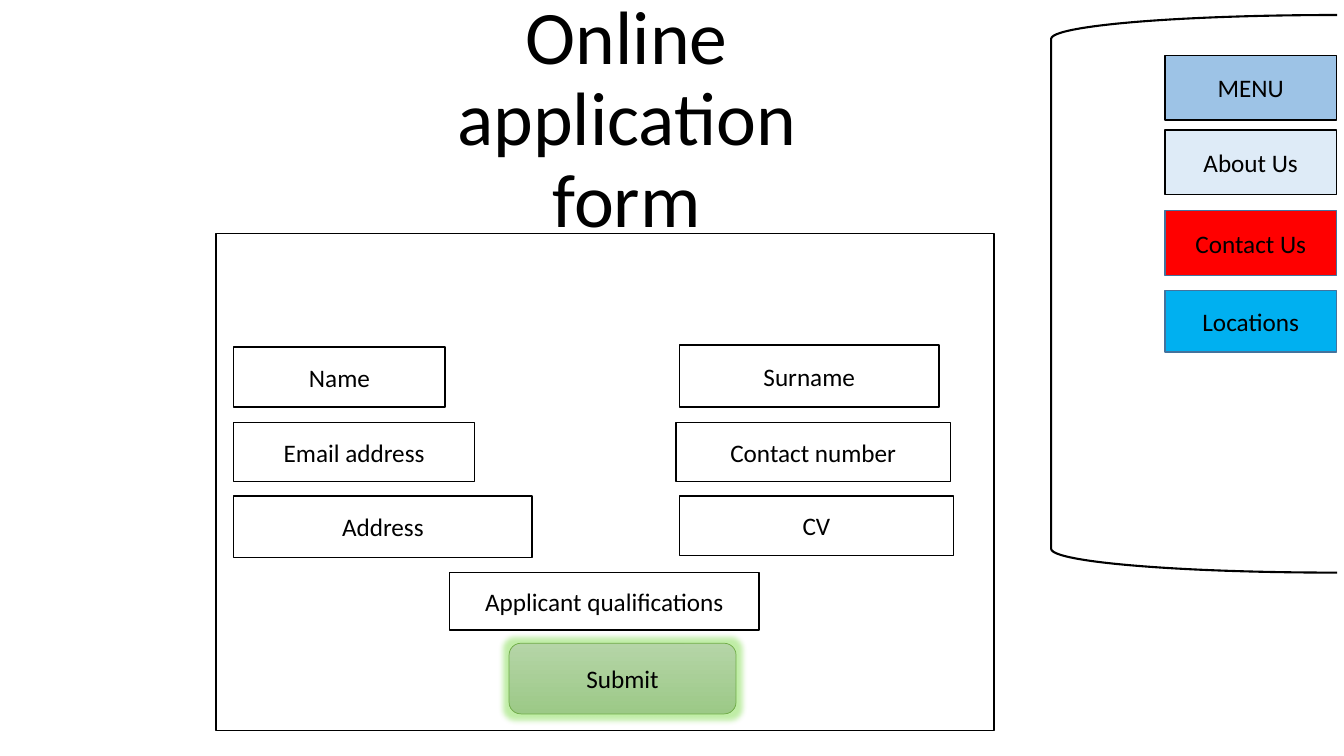
from lxml.etree import SubElement
from pptx import Presentation
from pptx.dml.color import RGBColor
from pptx.enum.shapes import MSO_SHAPE as Shape
from pptx.enum.text import MSO_ANCHOR as Anchor, PP_ALIGN as Align
from pptx.oxml.ns import qn
from pptx.util import Cm, Pt

COLORS = {
    "black": "000000", "white": "FFFFFF",
    "menu": "9DC3E6", "about": "DEEBF7", "contact": "FF0000", "locations": "00B0F0",
    "steel": "43739E", "green": "70AD47", "glow": "61D321",
    "submit_top": "B5D5A7", "submit_bottom": "9CC987",
}


def rgb(name):
    return RGBColor.from_string(COLORS[name])


class FormPage:
    font = "Calibri"

    def __init__(self, deck):
        self.page = deck.slides.add_slide(deck.slide_layouts[6])

    def label(self, shape, text, size, anchor):
        frame = shape.text_frame
        frame.word_wrap = True
        frame.vertical_anchor = anchor
        para = frame.paragraphs[0]
        para.text = text
        para.alignment = Align.CENTER
        para.font.name = self.font
        para.font.size = Pt(size)
        para.font.color.rgb = rgb("black")
        return para

    def title(self, text, *place):
        box = self.page.shapes.add_textbox(*map(Cm, place))
        self.label(box, text, 54, Anchor.BOTTOM).line_spacing = 0.9

    def box(self, text, *place, fill="white", line="black", weight=1, kind=Shape.RECTANGLE):
        shape = self.page.shapes.add_shape(kind, *map(Cm, place))
        shape.shadow.inherit = False
        if fill:
            shape.fill.solid()
            shape.fill.fore_color.rgb = rgb(fill)
        else:
            shape.fill.background()
        shape.line.color.rgb = rgb(line)
        shape.line.width = Pt(weight)
        if text:
            self.label(shape, text, 18, Anchor.MIDDLE)
        return shape

    def glowing_button(self, text, *place):
        button = self.box(text, *place, line="green", weight=0.5, kind=Shape.ROUNDED_RECTANGLE)
        button.fill.gradient()
        button.fill.gradient_angle = 270
        for stop, name in zip(button.fill.gradient_stops, ("submit_top", "submit_bottom")):
            stop.color.rgb = rgb(name)
        effects = button.element.spPr.find(qn("a:effectLst"))
        glow = SubElement(effects, qn("a:glow"), rad=str(Pt(8)))
        color = SubElement(glow, qn("a:srgbClr"), val=COLORS["glow"])
        SubElement(color, qn("a:alpha"), val="40000")


def main():
    deck = Presentation()
    deck.slide_width, deck.slide_height = Cm(33.87), Cm(19.05)
    form = FormPage(deck)

    # Title and form frame
    form.title("Online application form", 11.2, 0.71, 9.19, 5.56)
    form.box("", 5.44, 5.89, 19.61, 12.52)

    # Input fields
    for text, *place in (
        ("Name", 5.89, 8.74, 5.33, 1.52),
        ("Surname", 17.12, 8.69, 6.55, 1.57),
        ("Email address", 5.89, 10.64, 6.07, 1.5),
        ("Contact number", 17.04, 10.64, 6.91, 1.5),
        ("Address", 5.89, 12.5, 7.52, 1.55),
        ("CV", 17.12, 12.5, 6.91, 1.5),
        ("Applicant qualifications", 11.33, 14.43, 7.8, 1.45),
    ):
        form.box(text, *place)
    form.glowing_button("Submit", 12.83, 16.21, 5.72, 1.78)

    # Side menu
    for text, top, height, fill, line in (
        ("MENU", 1.4, 1.63, "menu", "black"),
        ("About Us", 3.28, 1.63, "about", "black"),
        ("Contact Us", 5.31, 1.63, "contact", "steel"),
        ("Locations", 7.32, 1.55, "locations", "steel"),
    ):
        form.box(text, 29.36, top, 4.32, height, fill=fill, line=line)
    form.box("", 26.49, 0.38, 7.21, 14.05, fill=None, weight=1.5, kind=Shape.LEFT_BRACKET)

    deck.save("out.pptx")


if __name__ == "__main__":
    main()
